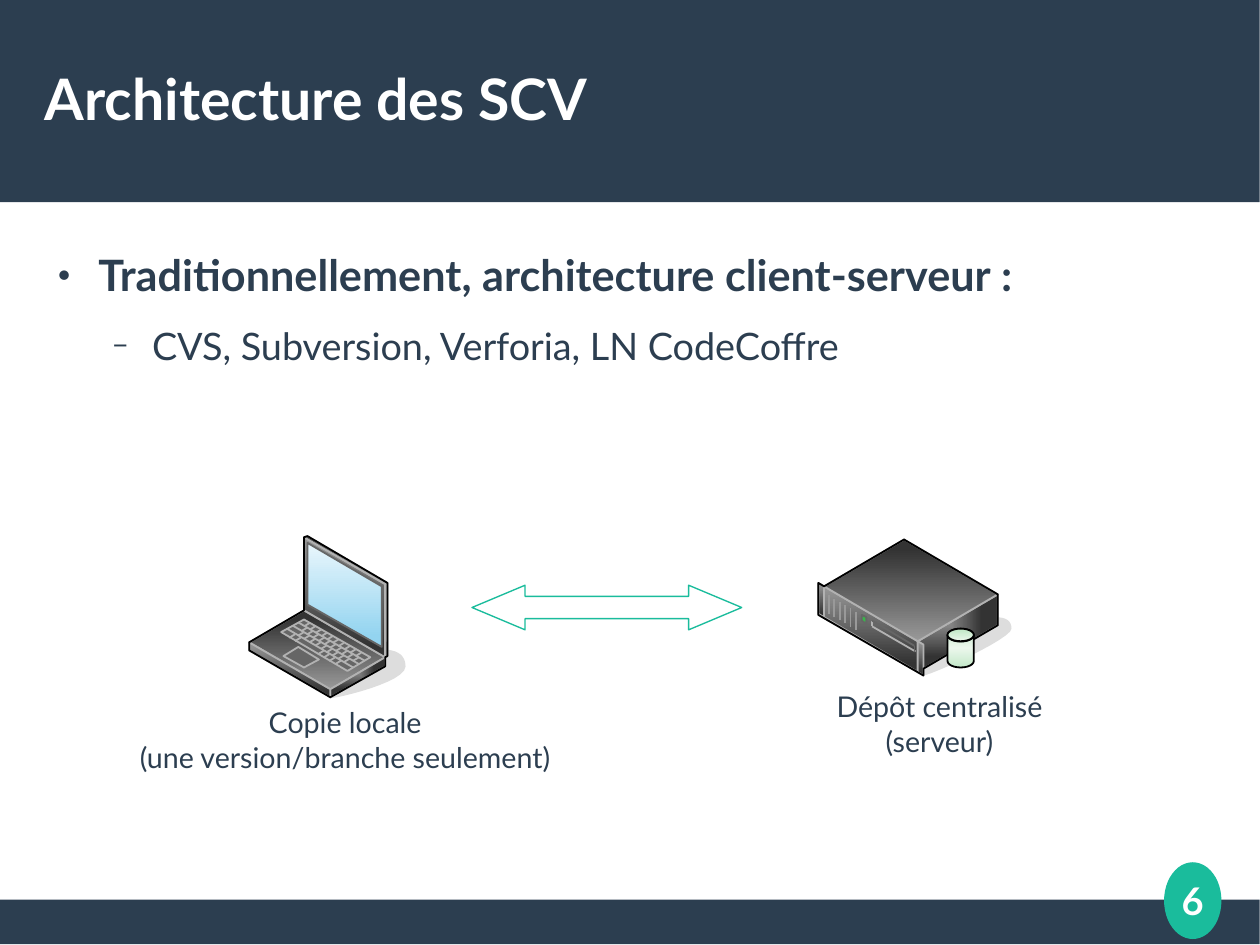
from typing import Any, NamedTuple, Optional, Union
from pptx import Presentation
from pptx.dml.color import RGBColor
from pptx.enum.shapes import MSO_CONNECTOR as Conn, MSO_SHAPE as Shp
from pptx.enum.text import MSO_ANCHOR as Anchor, MSO_AUTO_SIZE as Auto, PP_ALIGN as Align
from pptx.oxml import parse_xml
from pptx.oxml.ns import nsdecls, qn
from pptx.util import Inches, Pt

FONT = "Lato"
NAVY, TEAL, LED = RGBColor(0x2C, 0x3E, 0x50), RGBColor(0x1A, 0xBC, 0x9C), RGBColor(0x39, 0xB5, 0x4A)
SKY, ICE = RGBColor(0x93, 0xD4, 0xF0), RGBColor(0xE9, 0xF6, 0xFC)
MINT, FOAM = RGBColor(0xC3, 0xE8, 0xC8), RGBColor(0xEB, 0xF7, 0xEC)
BLACK, DARK, IRON, GREY, SILVER, SHADE, WHITE = (
    RGBColor(v, v, v) for v in (0x00, 0x33, 0x66, 0x99, 0xB2, 0xDD, 0xFF))
Point = tuple[float, float]
Box = tuple[float, float, float, float]

class Gradient(NamedTuple):
    stops: tuple[tuple[int, RGBColor], ...]
    angle: Optional[int] = None

class Face(NamedTuple):
    points: list[Point]
    fill: Union[RGBColor, Gradient, None]
    line: Optional[RGBColor] = SILVER

class Stroke(NamedTuple):
    start: Point
    end: Point
    color: RGBColor = SILVER

class Preset(NamedTuple):
    kind: Shp
    box: Box
    fill: Union[RGBColor, Gradient]
    line: Optional[RGBColor] = None
    width: float = 0.85

class Label(NamedTuple):
    box: Box
    lines: tuple[str, ...]
    size: float = 18
    color: RGBColor = NAVY
    bold: bool = False

Part = Union[Face, Stroke, Preset]
RISING = Gradient(((10, DARK), (100, GREY)), 270)
FALLING = Gradient(((10, DARK), (100, GREY)), 90)
SIDE = Gradient(((0, GREY), (100, DARK)))
SCREEN = Gradient(((10, SKY), (100, ICE)), 270)
DISK = Gradient(((0, MINT), (50, FOAM), (100, MINT)), 270)
DISK_TOP = Gradient(((10, MINT), (100, FOAM)), 90)

def curve(*ctrl: Point) -> list[Point]:
    times = [n / 12 for n in range(12)]
    return [tuple((1 - t)**3 * a + 3 * (1 - t)**2 * t * b + 3 * (1 - t) * t * t * c + t**3 * d
                  for a, b, c, d in zip(*ctrl[i:i + 4]))
            for i in range(0, len(ctrl) - 1, 3) for t in times]

def paint(sp: Any, fill: Union[RGBColor, Gradient, None], line: Optional[RGBColor], width: float) -> None:
    sp.shadow.inherit = False
    sp.fill.background()
    if isinstance(fill, RGBColor):
        sp.fill.solid()
        sp.fill.fore_color.rgb = fill
    elif fill:
        stops = "".join(f'<a:gs pos="{pos * 1000}"><a:srgbClr val="{rgb}"/></a:gs>' for pos, rgb in fill.stops)
        shade = ('<a:path path="rect"><a:fillToRect l="30000" t="30000" r="70000" b="70000"/></a:path>'
                 if fill.angle is None else f'<a:lin ang="{fill.angle * 60000}" scaled="0"/>')
        sp_pr = sp.element.spPr
        sp_pr.replace(sp_pr.find(qn("a:noFill")), parse_xml(
            f'<a:gradFill {nsdecls("a")}><a:gsLst>{stops}</a:gsLst>{shade}</a:gradFill>'))
    sp.line.fill.background()
    if line is not None:
        sp.line.color.rgb = line
        sp.line.width = Pt(width)

def draw(shapes: Any, part: Part) -> Any:
    if isinstance(part, Stroke):
        sp = shapes.add_connector(Conn.STRAIGHT, *map(Inches, part.start + part.end))
        sp.line.color.rgb = part.color
        sp.line.width = Pt(1.13)
        sp.element.spPr.append(parse_xml(f'<a:effectLst {nsdecls("a")}/>'))
    elif isinstance(part, Face):
        points = [(Inches(x), Inches(y)) for x, y in part.points]
        builder = shapes.build_freeform(*points[0])
        builder.add_line_segments(points[1:], close=True)
        sp = builder.convert_to_shape()
        paint(sp, part.fill, part.line, 1.13)
    else:
        sp = shapes.add_shape(part.kind, *map(Inches, part.box))
        paint(sp, part.fill, part.line, part.width)
    return sp

def apply(target: Any, values: dict[str, Any]) -> None:
    for name, value in values.items():
        setattr(target, name, value)

def write(p: Any, text: str, size: float, color: RGBColor, bold: bool) -> None:
    r = p.add_run()
    r.text = text
    apply(r.font, {"name": FONT, "size": Pt(size), "bold": bold})
    r.font.color.rgb = color

def frame(sp: Any, box: Box, anchor: Anchor, wrap: bool = True) -> Any:
    apply(sp, dict(zip(("left", "top", "width", "height"), map(Inches, box))))
    apply(sp.text_frame, {"margin_left": 0, "margin_right": 0, "margin_top": 0, "margin_bottom": 0,
                          "vertical_anchor": anchor, "word_wrap": wrap, "auto_size": Auto.NONE})
    return sp.text_frame

def add_label(shapes: Any, label: Label) -> None:
    tf = frame(shapes.add_textbox(0, 0, 0, 0), label.box, Anchor.MIDDLE, False)
    for i, text in enumerate(label.lines):
        p = tf.add_paragraph() if i else tf.paragraphs[0]
        p.alignment = Align.CENTER
        write(p, text, label.size, label.color, label.bold)

def add_bullet(p: Any, char: str, percent: int, indent: float) -> None:
    p_pr = p._p.get_or_add_pPr()
    p_pr.set("marL", str(Inches(indent)))
    p_pr.set("indent", str(Inches(-0.35)))
    for tag in (f'buClr {{}}><a:srgbClr val="{NAVY}"/></a:buClr>', f'buSzPct {{}} val="{percent * 1000}"/>',
                f'buFont {{}} typeface="{FONT}"/>', f'buChar {{}} char="{char}"/>'):
        p_pr.append(parse_xml("<a:" + tag.format(nsdecls("a"))))

BANDS = [Preset(Shp.RECTANGLE, (0, 7.87, 11.02, 0.39), NAVY),
         Preset(Shp.RECTANGLE, (0, 0, 11.02, 1.77), NAVY),
         Preset(Shp.OVAL, (10.19, 7.55, 0.49, 0.66), TEAL, TEAL)]
BULLETS = [("Traditionnellement, architecture client-serveur\u00a0:".replace("\\u00a0", " "), "●", 45, 0.47, 14.1, 27.2, True),
           ("CVS, Subversion, Verforia, LN CodeCoffre", "−", 75, 0.94, 11.3, 23.8, False)]
LABELS = [Label((10.04, 7.48, 0.79, 0.79), ("6",), 24, WHITE, True),
          Label((7.16, 5.94, 2.12, 0.78), ("Dépôt centralisé", "(serveur)")),
          Label((0.98, 6.08, 4.08, 0.78), ("Copie locale", "(une version/branche seulement)"))]
VENTS = [Stroke((7.25 + 0.048 * i, 5.21 + 0.028 * i), (7.25 + 0.048 * i, 5.37 + 0.028 * i), GREY)
         for i in range(6)]
SERVER: list[Part] = [
    Face(curve((8.08, 5.91), (8.14, 5.91), (8.85, 5.59), (8.85, 5.5), (8.85, 5.4), (8.75, 5.4),
               (8.69, 5.4), (8.69, 5.44), (8.05, 5.61), (8.08, 5.91)), SHADE, None),
    Face([(7.21, 5.4), (7.21, 5.13), (8.03, 5.61), (8.03, 5.88)], RISING),
    Face([(8.03, 5.88), (8.03, 5.61), (8.73, 5.2), (8.73, 5.47)], SIDE),
    Face([(8.03, 5.61), (7.21, 5.13), (7.91, 4.72), (8.73, 5.2)], FALLING),
    *VENTS, Stroke((8.01, 5.7), (7.63, 5.48)), Stroke((7.63, 5.43), (7.63, 5.48)),
    Stroke((8, 5.65), (8, 5.7), IRON), Stroke((8, 5.65), (7.63, 5.43), IRON),
    Face([(7.54, 5.43), (7.54, 5.38), (7.58, 5.4), (7.58, 5.46)], LED, IRON),
    *(Face([(x, y + 0.27), (x, y), (x + 0.05, y + 0.03), (x + 0.05, y + 0.3)], RISING)
      for x, y in ((7.16, 5.1), (8.03, 5.61))),
    Face([(7.16, 5.38), (7.16, 5.1), (7.21, 5.13), (7.91, 4.72), (8.73, 5.2), (8.73, 5.47),
          (8.08, 5.85), (8.08, 5.91)], None, BLACK),
    Preset(Shp.FLOWCHART_MAGNETIC_DISK, (8.29, 5.5, 0.23, 0.34), DISK, BLACK, 1.13),
    Preset(Shp.OVAL, (8.29, 5.5, 0.23, 0.11), DISK_TOP, BLACK, 1.13)]
KEY_ROWS = [((2.66, 5.48), range(10)), ((2.64, 5.52), range(10)),
            ((2.61, 5.56), range(9)), ((2.53, 5.58), (0, 1, 5, 6, 7, 8))]
KEYS = [Stroke((x + 0.05 * i, y + 0.029 * i), (x + 0.05 * (i + 1), y + 0.029 * i - 0.03))
        for (x, y), columns in KEY_ROWS for i in columns]
KEY_LINES = [Stroke((2.51 + 0.05 * i, 5.5 - 0.027 * i), (3.09 + 0.05 * i, 5.84 - 0.03 * i)) for i in range(3)]
LAPTOP: list[Part] = [
    Face(curve((2.89, 6.1), (2.96, 6.1), (3.54, 5.96), (3.54, 5.83), (3.54, 5.69), (3.39, 5.69),
               (3.32, 5.69), (3.32, 5.74), (2.86, 5.78), (2.89, 6.1)), SHADE, SHADE),
    Face([(2.89, 6.03), (2.18, 5.62), (2.66, 5.34), (3.37, 5.75)], FALLING),
    Face([(2.46, 5.53), (2.66, 5.42), (3.24, 5.75), (3.04, 5.87)], IRON),
    Face([(2.66, 5.34), (2.66, 4.7), (3.37, 5.11), (3.37, 5.75)], RISING),
    Face([(2.69, 5.29), (2.69, 4.75), (3.34, 5.13), (3.34, 5.66)], SCREEN, IRON),
    Face([(3.37, 5.11), (2.66, 4.7), (2.69, 4.69), (3.39, 5.1)], FALLING),
    Face([(3.37, 5.75), (3.37, 5.11), (3.39, 5.1), (3.39, 5.74)], SIDE),
    Face([(2.89, 6.1), (2.89, 6.03), (3.37, 5.75), (3.37, 5.83)], SIDE), *KEY_LINES, *KEYS,
    Face([(2.18, 5.69), (2.18, 5.62), (2.89, 6.03), (2.89, 6.1)], RISING),
    Face([(2.69, 4.69), (3.39, 5.1), (3.39, 5.74), (3.37, 5.75), (3.37, 5.83), (2.89, 6.1),
          (2.18, 5.69), (2.18, 5.62), (2.66, 5.34), (2.66, 4.7)], None, BLACK),
    Face([(2.48, 5.74), (2.61, 5.66), (2.79, 5.77), (2.66, 5.84)], IRON)]

def main() -> None:
    prs = Presentation()
    apply(prs, {"slide_width": Inches(28 / 2.54), "slide_height": Inches(21 / 2.54)})
    s = prs.slides.add_slide(prs.slide_layouts[1])
    title, body = s.placeholders
    for band in BANDS:
        draw(s.shapes, band)
    for sp in (title, body):
        s.shapes.element.append(sp.element)
    p = frame(title, (0.39, 0.33, 10.24, 1.05), Anchor.MIDDLE).paragraphs[0]
    p.alignment = Align.LEFT
    write(p, "Architecture des SCV", 36, WHITE, True)
    tf = frame(body, (0.39, 2.17, 10.24, 1.38), Anchor.TOP)
    for level, (text, char, percent, indent, after, size, bold) in enumerate(BULLETS):
        p = tf.add_paragraph() if level else tf.paragraphs[0]
        apply(p, {"level": level, "space_before": Pt(0), "space_after": Pt(after)})
        add_bullet(p, char, percent, indent)
        write(p, text, size, NAVY, bold)
    for label in LABELS:
        add_label(s.shapes, label)
    arrow = draw(s.shapes, Preset(Shp.LEFT_RIGHT_ARROW, (4.13, 5.12, 2.36, 0.39), WHITE, TEAL))
    arrow.adjustments[1] = 1.19
    for device in (SERVER, LAPTOP):
        group = s.shapes.add_group_shape()
        for part in device:
            draw(group.shapes, part)
    prs.save("out.pptx")

if __name__ == "__main__":
    main()
